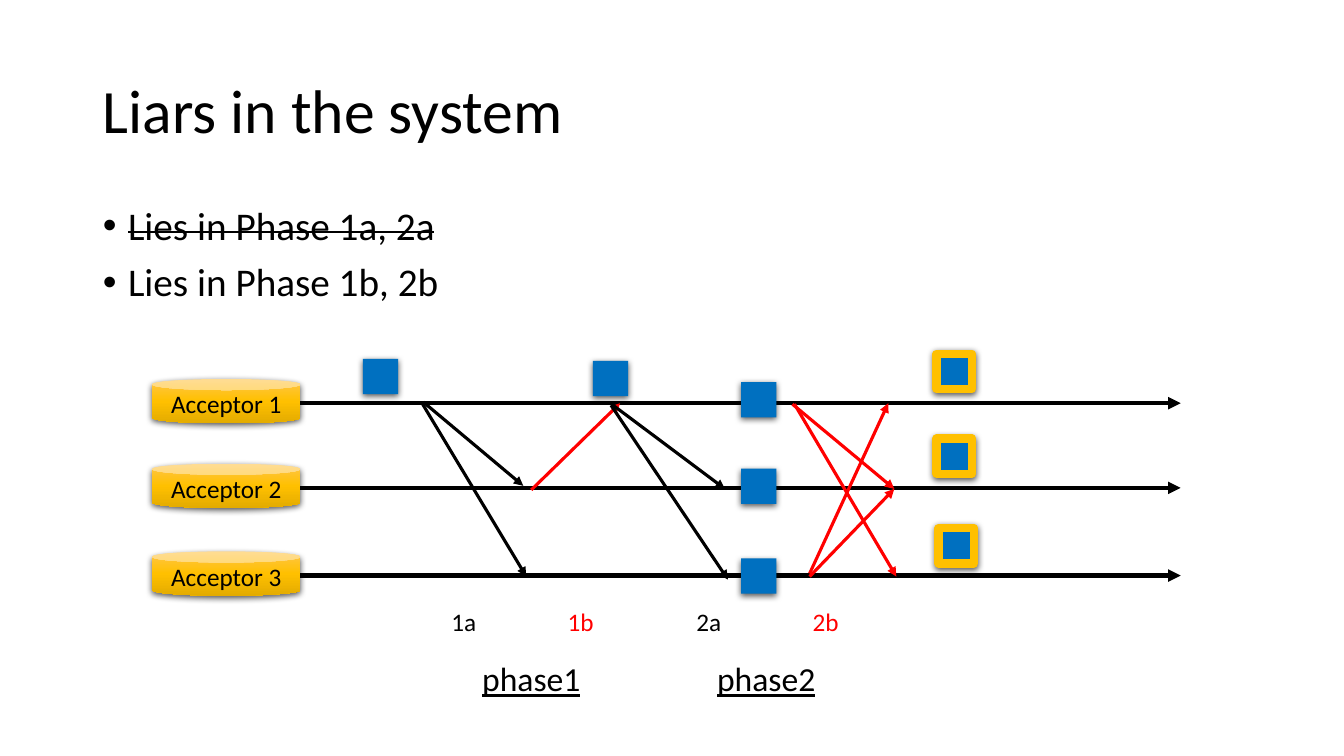
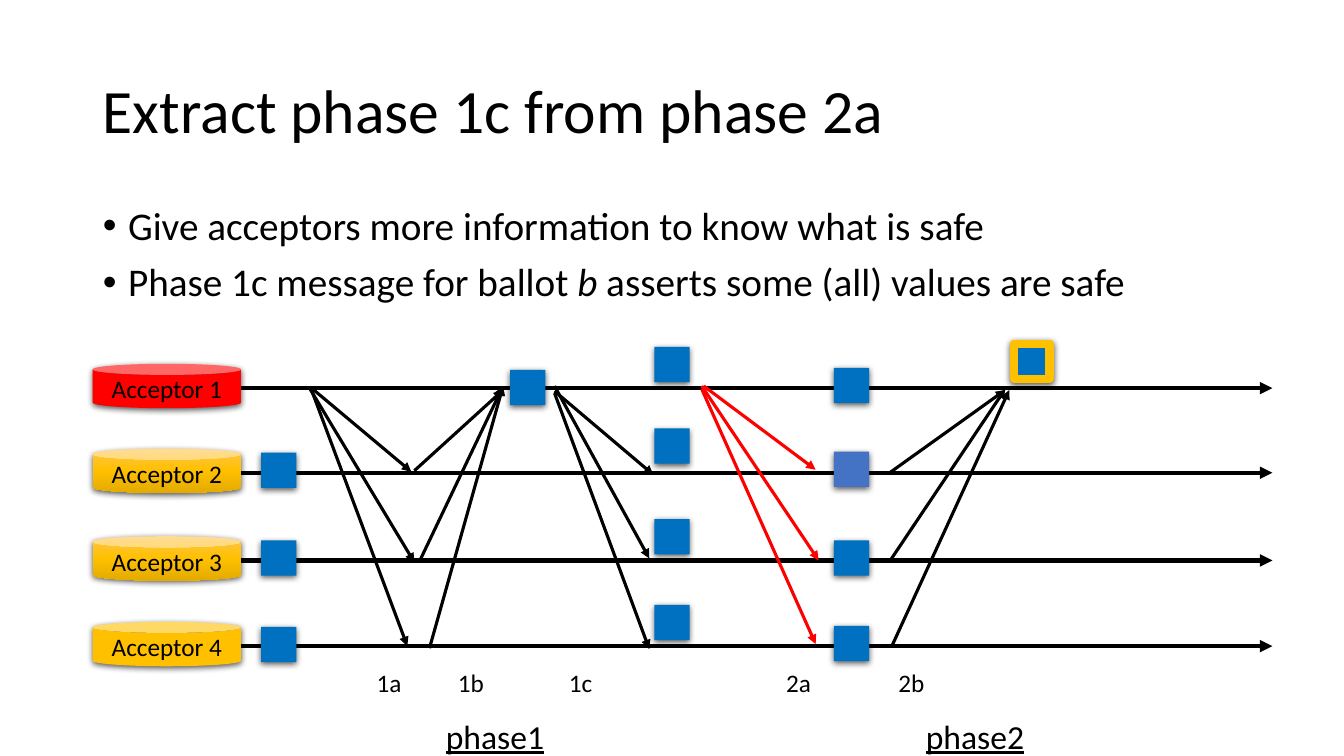
import pptx
import pptx.util
import pptx.dml.color
import pptx.enum.shapes
import pptx.enum.text
import pptx.oxml
import pptx.oxml.ns
import copy

Inches = pptx.util.Inches
Pt = pptx.util.Pt
Kind = pptx.enum.shapes.MSO_SHAPE
Align = pptx.enum.text.PP_ALIGN
Anchor = pptx.enum.text.MSO_ANCHOR
qn = pptx.oxml.ns.qn
NS = 'xmlns:a="http://schemas.openxmlformats.org/drawingml/2006/main"'


class Theme:
    font = "Calibri"
    black, red, blue, pale, gold = "000000", "FF0000", "0070C0", "4472C4", "FFC000"
    shine = [(0, "FFC64B"), (0.5, "FFC000"), (1, "E3AB00")]
    title, body, phase, label = 44, 28, 24, 18
    lane, arrow, rim = 3, 2.25, 6


SHADE = (f'<a:outerShdw {NS} blurRad="57150" dist="19050" dir="5400000" algn="ctr" '
         'rotWithShape="0"><a:srgbClr val="000000"><a:alpha val="63000"/>'
         '</a:srgbClr></a:outerShdw>')


def tint(code):
    return pptx.dml.color.RGBColor.from_string(code)


def write(para, text, size, color=Theme.black):
    run = para.add_run()
    run.text = text
    run.font.name = Theme.font
    run.font.size = Pt(size)
    run.font.color.rgb = tint(color)
    return run


# Content: bullets are lists of (text, style); arrows are (from, to, colour)
K, R, B = Theme.black, Theme.red, Theme.blue
pages = [
    dict(
        title="Liars in the system",
        bullets=[[("Lies in Phase 1a, 2a", "strike")], [("Lies in Phase 1b, 2b", "")]],
        high=4.76, left=1.51, right=11.71,
        lanes=[(4, "shine"), (4.84, "shine"), (5.71, "shine")],
        arrows=[
            ((5.27, 4.86), (6.15, 4), R),
            ((4.2, 3.99), (5.19, 4.82), K),
            ((4.18, 3.99), (5.22, 5.72), K),
            ((6.08, 4.02), (7.19, 4.85), K),
            ((6.06, 4.02), (7.22, 5.75), K),
            ((8.03, 5.69), (8.81, 4), R),
            ((7.86, 4.01), (8.87, 4.85), R),
            ((7.88, 4.01), (8.89, 5.72), R),
            ((8.03, 5.72), (8.87, 4.85), R),
        ],
        votes=[(3.6, 3.56, B), (5.88, 3.58, B),
               (7.35, 3.79, B), (7.35, 4.65, B), (7.35, 5.54, B)],
        chosen=[(9.29, 3.51), (9.29, 4.35), (9.31, 5.24)],
        steps=[("1a", 4.6, K), ("1b", 5.76, R), ("2a", 7.03, K), ("2b", 8.19, R)],
        phases=[("phase1", 5.27), ("phase2", 7.6)],
        foot=5.97, base=6.47,
    ),
    dict(
        title="Extract phase 1c from phase 2a",
        bullets=[
            [("Give acceptors more information to know what is safe", "")],
            [("Phase 1c message for ballot ", ""), ("b", "italic"),
             (" asserts some (all) values are safe", "")],
        ],
        high=1.39, left=0.92, right=12.62,
        lanes=[(3.85, R), (4.69, "shine"), (5.56, "shine"), (6.41, Theme.gold)],
        arrows=[
            ((3.09, 3.85), (4.08, 4.68), K),
            ((3.07, 3.85), (4.11, 5.58), K),
            ((3.09, 3.87), (4.04, 6.41), K),
            ((4.11, 4.67), (4.99, 3.87), K),
            ((4.17, 5.55), (4.99, 3.83), K),
            ((4.26, 6.43), (4.99, 3.83), K),
            ((5.5, 3.88), (6.48, 4.71), K),
            ((5.5, 3.83), (6.44, 5.54), K),
            ((5.5, 3.9), (6.44, 6.44), K),
            ((6.98, 3.83), (8.09, 4.66), R),
            ((6.96, 3.83), (8.12, 5.56), R),
            ((6.96, 3.86), (8.09, 6.39), R),
            ((8.81, 4.7), (9.97, 3.87), K),
            ((8.83, 5.56), (9.97, 3.86), K),
            ((8.85, 6.4), (10.01, 3.87), K),
        ],
        votes=[(5.06, 3.67, B)]
        + [(2.59, y, B) for y in (4.49, 5.36, 6.22)]
        + [(6.49, y, B) for y in (3.44, 4.25, 5.15, 6)]
        + [(8.27, y, c) for y, c in ((3.65, B), (4.48, Theme.pale), (5.36, B), (6.21, B))],
        chosen=[(10.06, 3.41)],
        steps=[("1a", 3.86, K), ("1b", 4.67, K), ("1c", 5.76, K),
               ("2a", 7.92, K), ("2b", 9.04, K)],
        phases=[("phase1", 4.91), ("phase2", 9.67)],
        foot=6.57, base=7.04,
    ),
]

deck = pptx.Presentation()
deck.slide_width, deck.slide_height = Inches(13.33), Inches(7.5)

for page in pages:
    slide = deck.slides.add_slide(deck.slide_layouts[1])
    shapes = slide.shapes

    # Title and bullets
    head, body = slide.placeholders
    for box, top, high in ((head, 0.4, 1.45), (body, 2, page["high"])):
        box.left, box.top = Inches(0.92), Inches(top)
        box.width, box.height = Inches(11.5), Inches(high)
        box.text_frame.auto_size = pptx.enum.text.MSO_AUTO_SIZE.NONE
    head.text_frame.vertical_anchor = Anchor.MIDDLE
    para = head.text_frame.paragraphs[0]
    para.alignment, para.line_spacing = Align.LEFT, 0.9
    write(para, page["title"], Theme.title)
    for i, parts in enumerate(page["bullets"]):
        frame = body.text_frame
        para = frame.add_paragraph() if i else frame.paragraphs[0]
        para.line_spacing, para.space_before = 0.9, Pt(10)
        props = para._p.get_or_add_pPr()
        props.set("marL", str(Inches(0.25)))
        props.set("indent", str(-Inches(0.25)))
        for text, style in parts:
            run = write(para, text, Theme.body)
            if style == "italic":
                run.font.italic = True
            elif style == "strike":
                run._r.get_or_add_rPr().set("strike", "sngStrike")

    # Time lines and messages
    left, right = page["left"], page["right"]
    lines = [((left + 0.54, y), (right, y), K, Theme.lane) for y, _ in page["lanes"]]
    lines += [(*arrow, Theme.arrow) for arrow in page["arrows"]]
    for start, end, color, width in lines:
        line = shapes.add_connector(pptx.enum.shapes.MSO_CONNECTOR.STRAIGHT,
                                    *map(Inches, start + end))
        line.line.color.rgb = tint(color)
        line.line.width = Pt(width)
        line.line._get_or_add_ln().append(
            pptx.oxml.parse_xml(f'<a:tailEnd {NS} type="triangle"/>'))
        line._element.spPr.append(pptx.oxml.parse_xml(f"<a:effectLst {NS}/>"))

    # Acceptors, votes and chosen values
    blocks = [(Kind.CAN, left, y - 0.24, 1.47, 0.44, fill, None, f"Acceptor {n}")
              for n, (y, fill) in enumerate(page["lanes"], 1)]
    blocks += [(Kind.RECTANGLE, x, y, 0.35, 0.35, fill, None, "")
               for x, y, fill in page["votes"]]
    blocks += [(Kind.RECTANGLE, x, y, 0.35, 0.35, B, Theme.gold, "")
               for x, y in page["chosen"]]
    for kind, x, y, wide, high, fill, rim, text in blocks:
        block = shapes.add_shape(kind, *map(Inches, (x, y, wide, high)))
        if fill == "shine":
            block.fill.gradient()
            block.fill.gradient_angle = 270
            stops = block._element.spPr.find(".//" + qn("a:gsLst"))
            stops.append(copy.deepcopy(stops[-1]))
            for stop, (place, color) in zip(block.fill.gradient_stops, Theme.shine):
                stop.position, stop.color.rgb = place, tint(color)
        else:
            block.fill.solid()
            block.fill.fore_color.rgb = tint(fill)
        if rim:
            block.line.color.rgb = tint(rim)
            block.line.width = Pt(Theme.rim)
        else:
            block.line.fill.background()
        block.shadow.inherit = False
        block._element.spPr.find(qn("a:effectLst")).append(pptx.oxml.parse_xml(SHADE))
        if text:
            block.text_frame.vertical_anchor = Anchor.MIDDLE
            para = block.text_frame.paragraphs[0]
            para.alignment = Align.CENTER
            write(para, text, Theme.label)

    # Step and phase labels, centred on x
    labels = [(text, x, page["foot"], 0.46, 0.4, Theme.label, color)
              for text, x, color in page["steps"]]
    labels += [(text, x, page["base"], 2.3, 0.52, Theme.phase, K)
               for text, x in page["phases"]]
    for text, x, y, wide, high, size, color in labels:
        label = shapes.add_textbox(*map(Inches, (x - wide / 2, y, wide, high)))
        label.text_frame.word_wrap = size == Theme.phase
        label.text_frame.vertical_anchor = Anchor.MIDDLE
        para = label.text_frame.paragraphs[0]
        para.alignment = Align.CENTER
        run = write(para, text, size, color)
        if size == Theme.phase:
            run.font.underline = True

deck.save("out.pptx")
